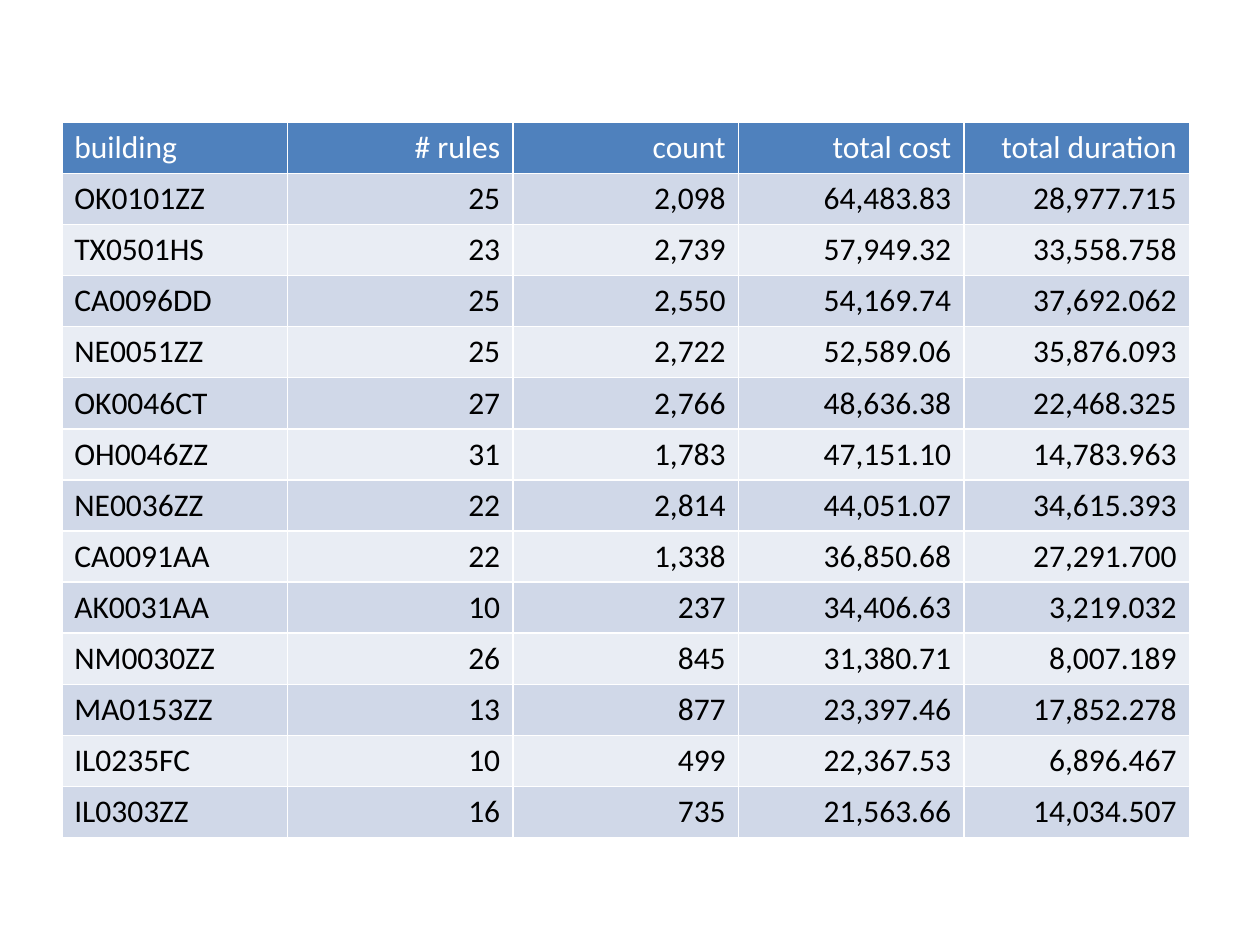
from pptx import Presentation
from pptx.dml.color import RGBColor
from pptx.enum.text import PP_ALIGN as Align
from pptx.util import Inches, Pt

HEADER_BLUE = RGBColor(0x4F, 0x81, 0xBD)
BAND_DARK = RGBColor(0xD0, 0xD8, 0xE8)
BAND_LIGHT = RGBColor(0xE9, 0xED, 0xF4)
WHITE = RGBColor(0xFF, 0xFF, 0xFF)
BLACK = RGBColor(0x00, 0x00, 0x00)

ROWS = [
    ("building", "# rules", "count", "total cost", "total duration"),
    ("OK0101ZZ", "25", "2,098", "64,483.83", "28,977.715"),
    ("TX0501HS", "23", "2,739", "57,949.32", "33,558.758"),
    ("CA0096DD", "25", "2,550", "54,169.74", "37,692.062"),
    ("NE0051ZZ", "25", "2,722", "52,589.06", "35,876.093"),
    ("OK0046CT", "27", "2,766", "48,636.38", "22,468.325"),
    ("OH0046ZZ", "31", "1,783", "47,151.10", "14,783.963"),
    ("NE0036ZZ", "22", "2,814", "44,051.07", "34,615.393"),
    ("CA0091AA", "22", "1,338", "36,850.68", "27,291.700"),
    ("AK0031AA", "10", "237", "34,406.63", "3,219.032"),
    ("NM0030ZZ", "26", "845", "31,380.71", "8,007.189"),
    ("MA0153ZZ", "13", "877", "23,397.46", "17,852.278"),
    ("IL0235FC", "10", "499", "22,367.53", "6,896.467"),
    ("IL0303ZZ", "16", "735", "21,563.66", "14,034.507"),
]
COLUMN_WIDTH = Inches(1.79)
ROW_HEIGHT = Inches(0.4)

presentation = Presentation()
presentation.slide_width = Inches(10)
presentation.slide_height = Inches(7.5)
slide = presentation.slides.add_slide(presentation.slide_layouts[6])

column_count = len(ROWS[0])
table = slide.shapes.add_table(
    len(ROWS), column_count, Inches(0.49), Inches(0.97),
    COLUMN_WIDTH * column_count, ROW_HEIGHT * len(ROWS),
).table

for row_index, values in enumerate(ROWS):
    is_header = row_index == 0
    band = BAND_DARK if row_index % 2 else BAND_LIGHT
    for column_index, value in enumerate(values):
        cell = table.cell(row_index, column_index)
        cell.fill.solid()
        cell.fill.fore_color.rgb = HEADER_BLUE if is_header else band
        cell.text = value
        paragraph = cell.text_frame.paragraphs[0]
        paragraph.alignment = Align.RIGHT if column_index else Align.LEFT
        paragraph.font.name = "Calibri"
        paragraph.font.size = Pt(18)
        paragraph.font.bold = False
        paragraph.font.color.rgb = WHITE if is_header else BLACK

presentation.save("out.pptx")
